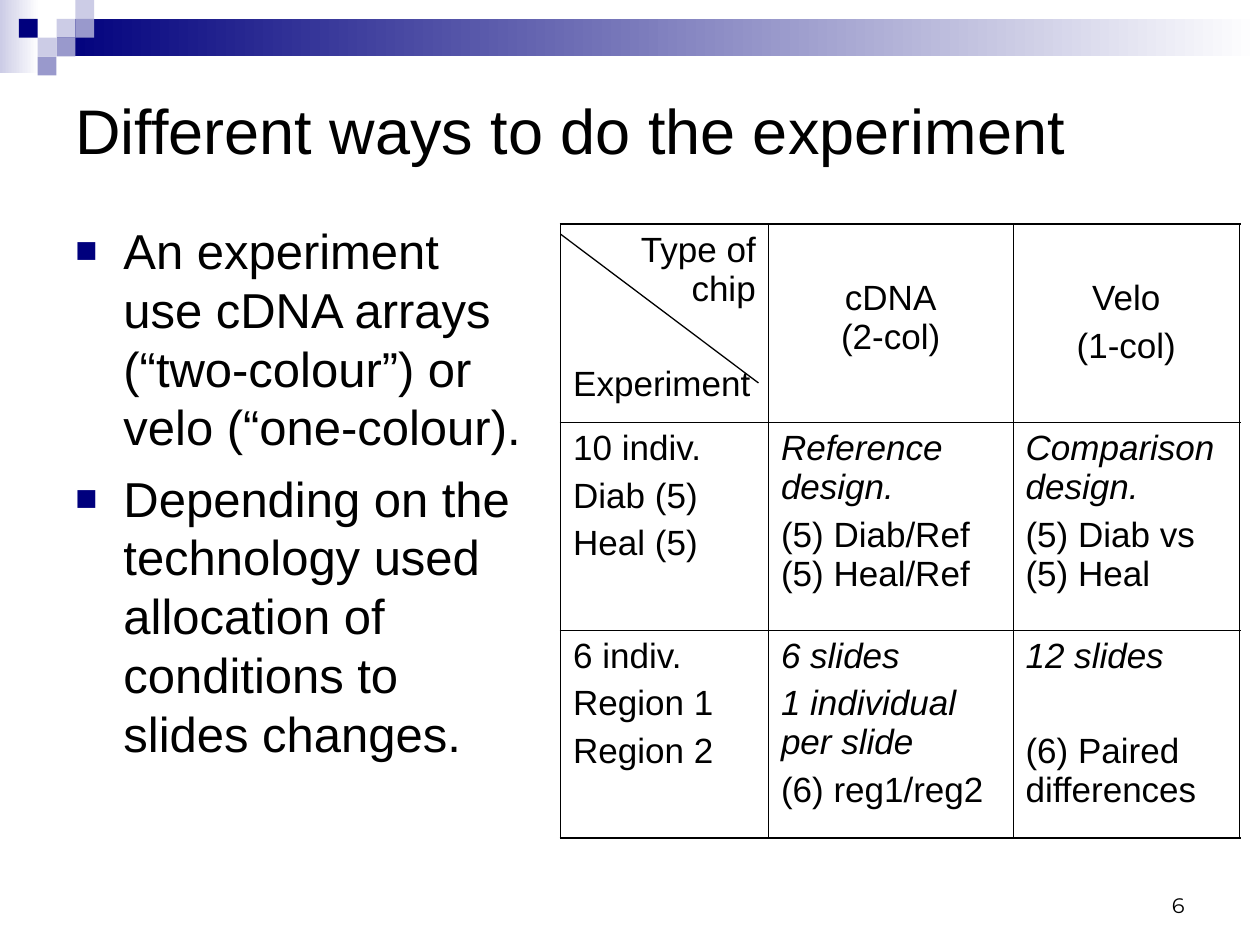
from lxml.etree import SubElement
from pptx import Presentation
from pptx.dml.color import RGBColor
from pptx.enum.shapes import MSO_CONNECTOR, MSO_SHAPE
from pptx.enum.text import MSO_ANCHOR, PP_ALIGN
from pptx.oxml.ns import qn
from pptx.util import Cm, Pt

BLACK = RGBColor(0, 0, 0)
WHITE = RGBColor(255, 255, 255)
NAVY = RGBColor(0, 0, 0x7D)
LILAC = RGBColor(0xCC, 0xCC, 0xE6)
VIOLET = RGBColor(0x99, 0x99, 0xCC)


def add_box(left, top, width, height, anchor):
    box = page.shapes.add_textbox(Cm(left), Cm(top), Cm(width), Cm(height))
    box.text_frame.word_wrap = True
    box.text_frame.vertical_anchor = anchor
    return box.text_frame


def write(para, text, size, name="Arial", italic=False):
    para.text = text
    para.font.size = Pt(size)
    para.font.name = name
    para.font.italic = italic
    para.font.color.rgb = BLACK


deck = Presentation()
deck.slide_width = Cm(25.4)
deck.slide_height = Cm(19.05)
page = deck.slides.add_slide(deck.slide_layouts[6])

unit = 0.38
bands = [(0, 0, 0.79, 1.47, LILAC, WHITE), (3 * unit, unit, 25.4 - 3 * unit, 2 * unit, NAVY, WHITE)]
squares = [(3, 1, LILAC), (4, 0, LILAC), (4, 1, VIOLET), (2, 2, LILAC),
           (1, 1, NAVY), (3, 2, VIOLET), (2, 3, VIOLET)]
tiles = [(column * unit, row * unit, unit, unit, colour, None) for column, row, colour in squares]
for left, top, width, height, start, end in bands + tiles:
    shape = page.shapes.add_shape(MSO_SHAPE.RECTANGLE, Cm(left), Cm(top), Cm(width), Cm(height))
    shape.shadow.inherit = False
    shape.line.fill.background()
    if end is None:
        shape.fill.solid()
        shape.fill.fore_color.rgb = start
    else:
        shape.fill.gradient()
        shape.fill.gradient_angle = 0
        for stop, colour in zip(shape.fill.gradient_stops, (start, end)):
            stop.color.rgb = colour

number = add_box(18.21, 17.35, 5.92, 1.27, MSO_ANCHOR.BOTTOM).paragraphs[0]
write(number, "6", 12, "Montserrat")
number.alignment = PP_ALIGN.RIGHT

title = add_box(1.27, 1.27, 22.86, 2.67, MSO_ANCHOR.MIDDLE).paragraphs[0]
write(title, "Different ways to do the experiment", 36)

points = [
    "An experiment use cDNA arrays (“two-colour”) or velo (“one-colour).",
    "Depending on the technology used allocation of conditions to slides changes.",
]
body = add_box(1.27, 4.32, 9.63, 11.96, MSO_ANCHOR.TOP)
for index, point in enumerate(points):
    para = body.add_paragraph() if index else body.paragraphs[0]
    if index:
        para.space_before = Pt(7)
    properties = para._p.get_or_add_pPr()
    properties.set("marL", str(Cm(0.97)))
    properties.set("indent", str(-Cm(0.97)))
    colour = SubElement(properties, qn("a:buClr"))
    SubElement(colour, qn("a:srgbClr"), val=str(NAVY))
    SubElement(properties, qn("a:buSzPct"), val="75000")
    SubElement(properties, qn("a:buFont"), typeface="Arial")
    SubElement(properties, qn("a:buChar"), char="■")
    write(para, point, 28)

cells = [
    [["Type of chip", "Experiment"], ["cDNA\v(2-col)"], ["Velo", "(1-col)"]],
    [["10 indiv.", "Diab (5)", "Heal (5)"],
     ["Reference design.", "(5) Diab/Ref (5) Heal/Ref"],
     ["Comparison design.", "(5) Diab vs (5) Heal"]],
    [["6 indiv.", "Region 1", "Region 2"],
     ["6 slides", "1 individual per slide", "(6) reg1/reg2"],
     ["12 slides", "(6) Paired differences"]],
]
italics = {"Reference design.", "Comparison design.", "6 slides", "1 individual per slide", "12 slides"}
spaced = {"Experiment", "(6) Paired differences"}
column_widths = [4.19, 4.93, 4.57]
row_heights = [3.99, 4.19, 4.19]
table = page.shapes.add_table(3, 3, Cm(11.3), Cm(4.52), Cm(sum(column_widths)), Cm(sum(row_heights))).table
table.first_row = False
table.horz_banding = False
for column, width in zip(table.columns, column_widths):
    column.width = Cm(width)
for row, height in zip(table.rows, row_heights):
    row.height = Cm(height)
for r, row in enumerate(cells):
    for c, lines in enumerate(row):
        cell = table.cell(r, c)
        heading = r == 0 and c > 0
        cell.margin_top = Cm(1.1 if heading else 0.13)
        for index, text in enumerate(lines):
            para = cell.text_frame.add_paragraph() if index else cell.text_frame.paragraphs[0]
            write(para, text, 20, italic=text in italics)
            if index:
                para.space_before = Pt(32 if text in spaced else 5)
            if heading:
                para.alignment = PP_ALIGN.CENTER
            elif text == "Type of chip":
                para.alignment = PP_ALIGN.RIGHT
        edges = {"lnL": c == 0, "lnR": c == 2, "lnT": r == 0, "lnB": r == 2}
        for edge, outer in edges.items():
            border = SubElement(cell._tc.get_or_add_tcPr(), qn(f"a:{edge}"), w=str(Pt(1.08 if outer else 0.45)))
            SubElement(SubElement(border, qn("a:solidFill")), qn("a:srgbClr"), val=str(BLACK))
        cell.fill.background()

diagonal = page.shapes.add_connector(MSO_CONNECTOR.STRAIGHT, Cm(11.3), Cm(4.72), Cm(15.29), Cm(7.72))
diagonal.line.color.rgb = BLACK
diagonal.line.width = Pt(0.75)
SubElement(diagonal._element.spPr, qn("a:effectLst"))

deck.save("out.pptx")
